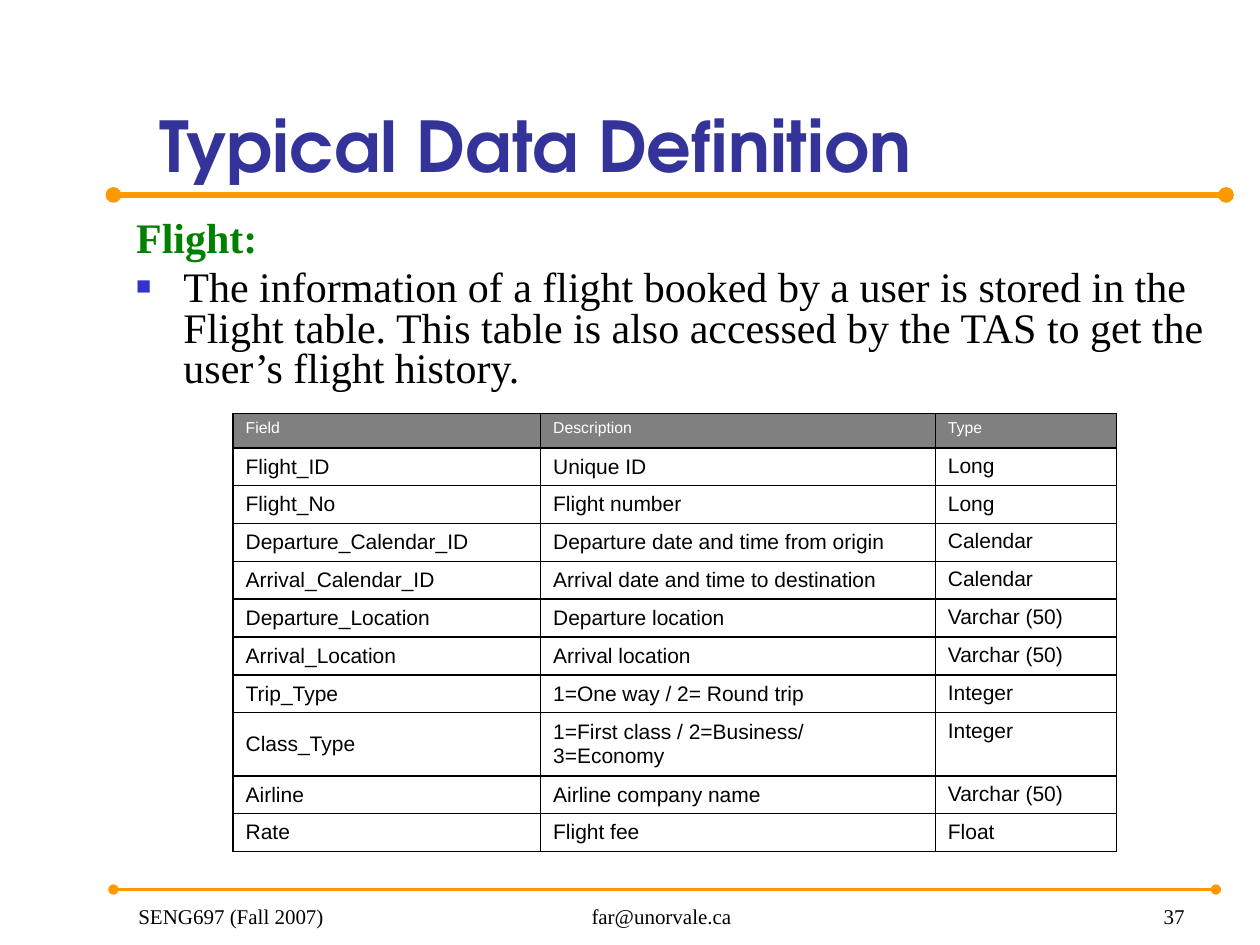
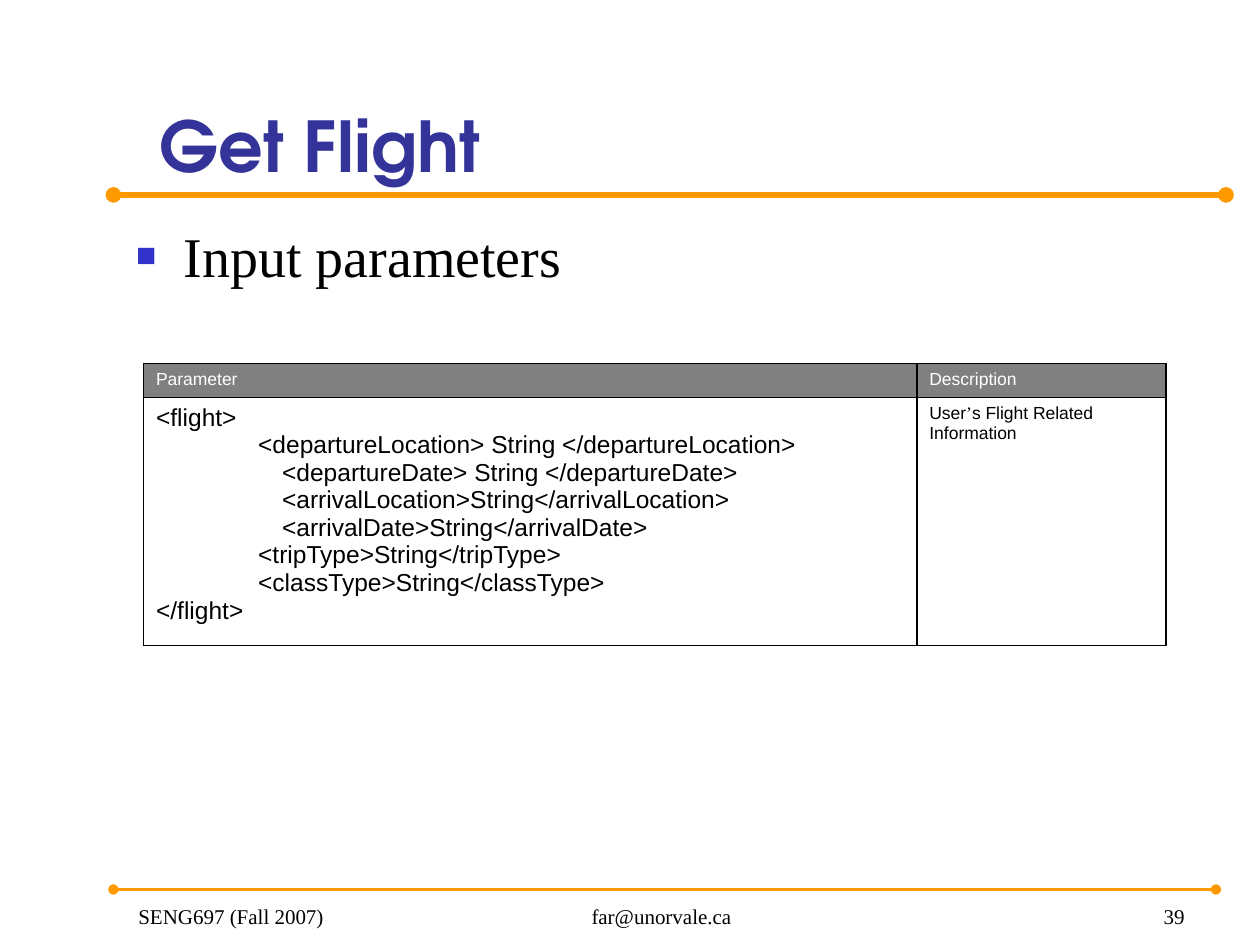
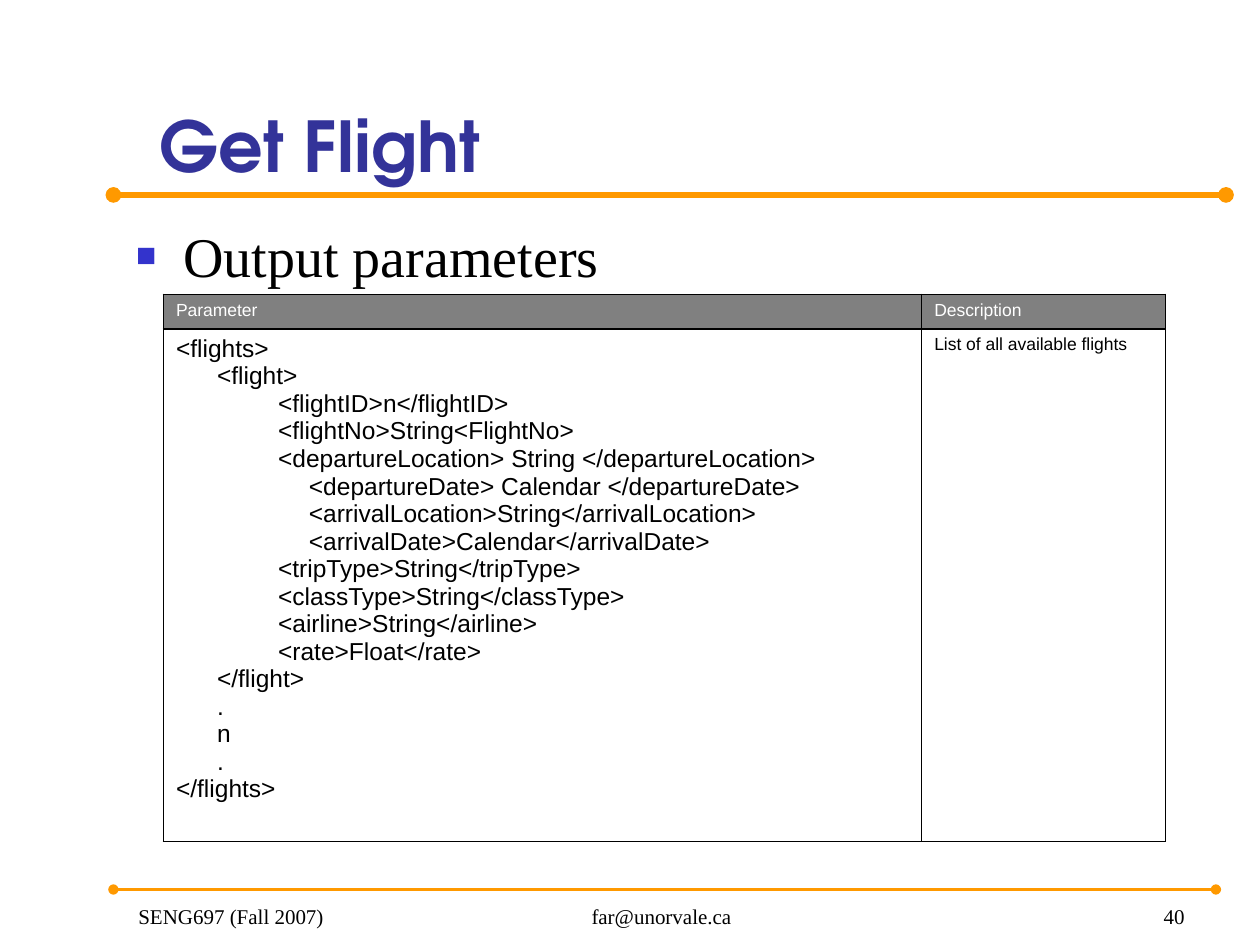
from lxml.etree import SubElement
from pptx import Presentation
from pptx.dml.color import RGBColor
from pptx.enum.shapes import MSO_CONNECTOR
from pptx.enum.text import MSO_ANCHOR, MSO_AUTO_SIZE, PP_ALIGN
from pptx.oxml import parse_xml
from pptx.oxml.ns import nsdecls, qn
from pptx.util import Pt

# Shared style
BLACK = RGBColor(0x00, 0x00, 0x00)
WHITE = RGBColor(0xFF, 0xFF, 0xFF)
GRAY = RGBColor(0x80, 0x80, 0x80)
ORANGE = RGBColor(0xFF, 0x99, 0x00)
NAVY = RGBColor(0x33, 0x33, 0x99)
BLUE = RGBColor(0x33, 0x33, 0xCC)
GREEN = RGBColor(0x00, 0x80, 0x00)
TITLE_FONT, BODY_FONT, TABLE_FONT = "TeX Gyre Adventor", "Times New Roman", "Arial"
INDENT = 27

# Rules: left, right, y, width
RULES = [(64.8, 700.6, 111.4, 3), (64.8, 694.8, 508.3, 1.5)]

# Footer: text, left, width, alignment (the page number comes last)
FOOTER = [
    ("SENG697 (Fall 2007)", 72, 150, PP_ALIGN.LEFT),
    ("far@unorvale.ca", 264, 228, PP_ALIGN.CENTER),
    ("{page}", 534, 150, PP_ALIGN.RIGHT),
]

# Content: a table cell is a text or a list of (indent, text) lines
FLIGHT_ROWS = [
    ("Field", "Description", "Type"),
    ("Flight_ID", "Unique ID", "Long"),
    ("Flight_No", "Flight number", "Long"),
    ("Departure_Calendar_ID", "Departure date and time from origin", "Calendar"),
    ("Arrival_Calendar_ID", "Arrival date and time to destination", "Calendar"),
    ("Departure_Location", "Departure location", "Varchar (50)"),
    ("Arrival_Location", "Arrival location", "Varchar (50)"),
    ("Trip_Type", "1=One way / 2= Round trip", "Integer"),
    ("Class_Type", [(0, "1=First class / 2=Business/"), (0, "3=Economy")], "Integer"),
    ("Airline", "Airline company name", "Varchar (50)"),
    ("Rate", "Flight fee", "Float"),
]
INPUT_LINES = [
    (0, "<flight>"),
    (58.3, "<departureLocation> String </departureLocation>"),
    (72, "<departureDate> String </departureDate>"),
    (72, "<arrivalLocation>String</arrivalLocation>"),
    (72, "<arrivalDate>String</arrivalDate>"),
    (58.3, "<tripType>String</tripType>"),
    (58.3, "<classType>String</classType>"),
    (0, "</flight>"),
]
OUTPUT_LINES = [
    (0, "<flights>"),
    (23.4, "<flight>"),
    (58.3, "<flightID>n</flightID>"),
    (58.3, "<flightNo>String<FlightNo>"),
    (58.3, "<departureLocation> String </departureLocation>"),
    (75.9, "<departureDate> Calendar </departureDate>"),
    (75.9, "<arrivalLocation>String</arrivalLocation>"),
    (75.9, "<arrivalDate>Calendar</arrivalDate>"),
    (58.3, "<tripType>String</tripType>"),
    (58.3, "<classType>String</classType>"),
    (58.3, "<airline>String</airline>"),
    (58.3, "<rate>Float</rate>"),
    (23.4, "</flight>"),
    (23.4, "."),
    (23.4, "n"),
    (23.4, "."),
    (0, "</flights>"),
]
PARAMETER_HEAD = ("Parameter", "Description")
SLIDES = [
    dict(
        page=37, title="Typical Data Definition", heading="Flight:",
        bullet="The information of a flight booked by a user is stored in the Flight "
               "table. This table is also accessed by the TAS to get the user’s "
               "flight history.",
        size=24, spacing=0.8, body_height=113,
        table=dict(at=(133.2, 236.2), cols=(175.7, 225.6, 103.6), rows=FLIGHT_ROWS,
                   heights=[19.7] + [20.7] * 7 + [34.3] + [20.7] * 2,
                   head_size=9, sizes=(12, 12, 12), middle=(0, 1)),
    ),
    dict(
        page=39, title="Get Flight", bullet="Input parameters",
        size=32, spacing=None, body_height=101.5,
        table=dict(at=(82, 207.6), cols=(441.9, 142.3),
                   rows=[PARAMETER_HEAD, (INPUT_LINES, "User’s Flight Related Information")],
                   heights=[19.7, 133.1], head_size=10, sizes=(14, 10), middle=()),
    ),
    dict(
        page=40, title="Get Flight", bullet="Output parameters",
        size=32, spacing=None, body_height=101.5,
        table=dict(at=(93.4, 168.2), cols=(433.3, 139.4),
                   rows=[PARAMETER_HEAD, (OUTPUT_LINES, "List of all available flights")],
                   heights=[19.7, 274.9], head_size=10, sizes=(14, 10), middle=()),
    ),
]


def place(sp, left, top, width, height):
    sp.left, sp.top, sp.width, sp.height = Pt(left), Pt(top), Pt(width), Pt(height)


def add_run(p, text, font, size, color, bold=False):
    r = p.add_run()
    r.text = text
    r.font.name, r.font.size, r.font.bold = font, Pt(size), bold
    r.font.color.rgb = color


def set_indent(p, left, first=0):
    pPr = p._p.get_or_add_pPr()
    pPr.set("marL", str(Pt(left)))
    pPr.set("indent", str(Pt(first)))
    return pPr


def add_frame(slide, page):
    """Rules and footer of every slide."""
    for left, right, y, width in RULES:
        line = slide.shapes.add_connector(
            MSO_CONNECTOR.STRAIGHT, Pt(left), Pt(y), Pt(right), Pt(y))
        line.line.color.rgb = ORANGE
        line.line.width = Pt(width)
        spPr = line._element.spPr
        for end in ("a:headEnd", "a:tailEnd"):
            SubElement(spPr.find(qn("a:ln")), qn(end), type="oval")
        SubElement(spPr, qn("a:effectLst"))
    for text, left, width, align in FOOTER:
        tf = slide.shapes.add_textbox(Pt(left), Pt(502.6), Pt(width), Pt(31.7)).text_frame
        tf.word_wrap = True
        tf.vertical_anchor = MSO_ANCHOR.BOTTOM
        p = tf.paragraphs[0]
        p.alignment = align
        add_run(p, text.format(page=page), BODY_FONT, 12, BLACK)


def fill_title(sp, text):
    place(sp, 84.2, 20.2, 620, 90)
    tf = sp.text_frame
    tf.auto_size = MSO_AUTO_SIZE.NONE
    tf.vertical_anchor = MSO_ANCHOR.BOTTOM
    p = tf.paragraphs[0]
    p.alignment = PP_ALIGN.LEFT
    add_run(p, text, TITLE_FONT, 40, NAVY, True)


def fill_body(sp, heading, bullet, size, spacing, height):
    place(sp, 70.6, 123.1, 630, height)
    tf = sp.text_frame
    tf.auto_size = MSO_AUTO_SIZE.NONE
    p = tf.paragraphs[0]
    if heading:
        p.line_spacing = spacing
        SubElement(set_indent(p, INDENT, -INDENT), qn("a:buNone"))
        add_run(p, heading, BODY_FONT, size, GREEN, True)
        p = tf.add_paragraph()
    p.line_spacing = spacing
    pPr = set_indent(p, INDENT, -INDENT)
    SubElement(SubElement(pPr, qn("a:buClr")), qn("a:srgbClr"), val=str(BLUE))
    SubElement(pPr, qn("a:buSzPct"), val="60000")
    SubElement(pPr, qn("a:buFont"), typeface=TABLE_FONT)
    SubElement(pPr, qn("a:buChar"), char="■")
    add_run(p, bullet, BODY_FONT, size, BLACK)


def set_borders(cell):
    tcPr = cell._tc.get_or_add_tcPr()
    for i, side in enumerate("LRTB"):
        tcPr.insert(i, parse_xml(
            f'<a:ln{side} {nsdecls("a")} w="{Pt(1)}"><a:solidFill>'
            f'<a:srgbClr val="{BLACK}"/></a:solidFill></a:ln{side}>'))


def fill_cell(cell, content, size, color):
    lines = [(0, content)] if isinstance(content, str) else content
    tf = cell.text_frame
    for i, (indent, text) in enumerate(lines):
        p = tf.add_paragraph() if i else tf.paragraphs[0]
        if indent:
            set_indent(p, indent)
        # The apostrophe is set in the body font
        for piece in filter(None, text.partition("’")):
            add_run(p, piece, BODY_FONT if piece == "’" else TABLE_FONT, size, color)


def add_data_table(slide, at, cols, rows, heights, head_size, sizes, middle):
    table = slide.shapes.add_table(
        len(rows), len(cols), Pt(at[0]), Pt(at[1]), Pt(sum(cols)), Pt(sum(heights))).table
    table.first_row = table.horz_banding = False
    for column, width in zip(table.columns, cols):
        column.width = Pt(width)
    for i, (row, height) in enumerate(zip(rows, heights)):
        table.rows[i].height = Pt(height)
        for j, content in enumerate(row):
            cell = table.cell(i, j)
            if i == 0:
                cell.fill.solid()
                cell.fill.fore_color.rgb = GRAY
                fill_cell(cell, content, head_size, WHITE)
            else:
                cell.fill.background()
                fill_cell(cell, content, sizes[j], BLACK)
                if j in middle:
                    cell.vertical_anchor = MSO_ANCHOR.MIDDLE
            set_borders(cell)


def main():
    prs = Presentation()
    prs.slide_width, prs.slide_height = Pt(720), Pt(540)
    for s in SLIDES:
        slide = prs.slides.add_slide(prs.slide_layouts[1])
        add_frame(slide, s["page"])
        fill_title(slide.shapes.title, s["title"])
        fill_body(slide.placeholders[1], s.get("heading"), s["bullet"],
                  s["size"], s["spacing"], s["body_height"])
        add_data_table(slide, **s["table"])
    prs.save("out.pptx")


if __name__ == "__main__":
    main()
